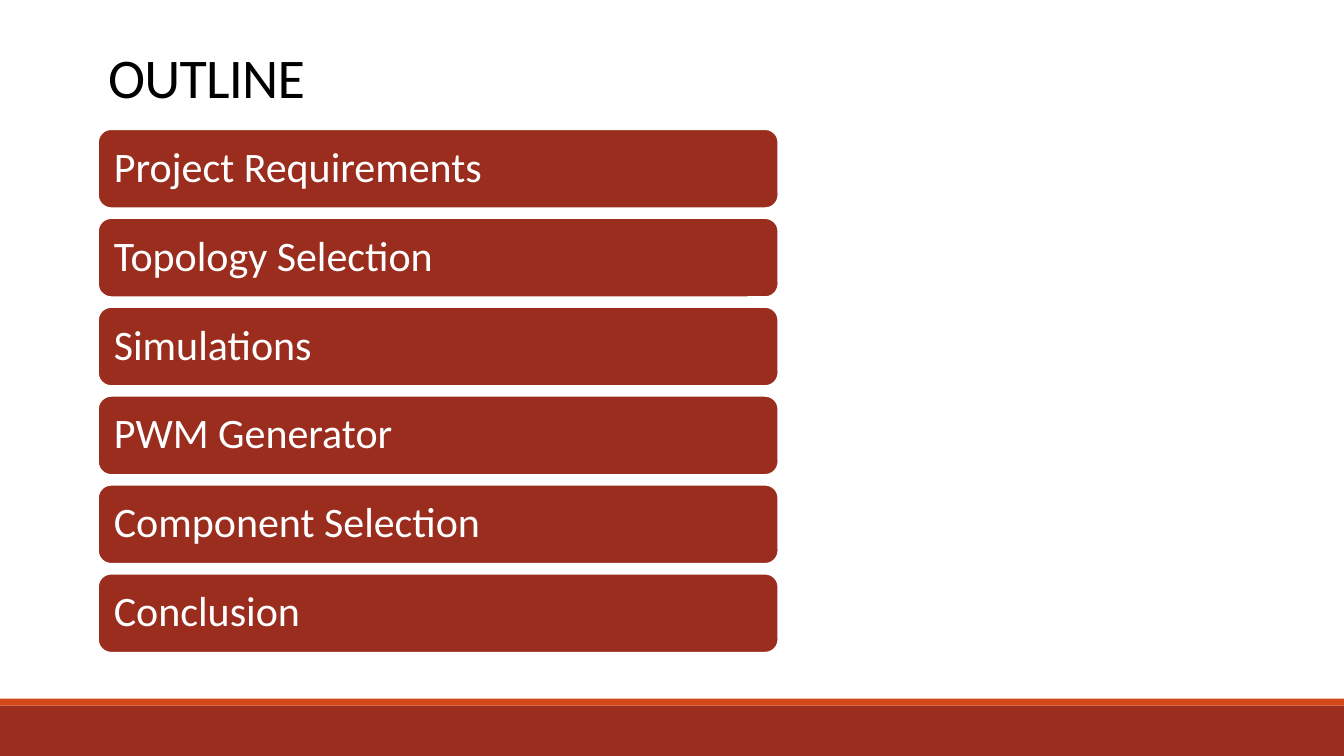
from pptx import Presentation
from pptx.dml.color import RGBColor
from pptx.enum.shapes import MSO_SHAPE
from pptx.enum.text import MSO_ANCHOR, MSO_AUTO_SIZE, PP_ALIGN
from pptx.util import Pt

RED = "9B2D1F"
ORANGE = "D34817"
WHITE = "FFFFFF"
BLACK = "000000"


def add_block(kind, left, top, width, height, fill, line=None):
    shape = slide.shapes.add_shape(kind, Pt(left), Pt(top), Pt(width), Pt(height))
    shape.shadow.inherit = False
    shape.fill.solid()
    shape.fill.fore_color.rgb = RGBColor.from_string(fill)
    if line:
        shape.line.color.rgb = RGBColor.from_string(line)
        shape.line.width = Pt(1.25)
    else:
        shape.line.fill.background()
    return shape


def write_text(shape, text, size, color, anchor, line_spacing, inset=7.2, spacing=0):
    frame = shape.text_frame
    frame.word_wrap = True
    frame.auto_size = MSO_AUTO_SIZE.NONE
    frame.vertical_anchor = anchor
    frame.margin_left = frame.margin_right = Pt(inset)
    frame.margin_top = frame.margin_bottom = Pt(min(inset, 3.6))
    paragraph = frame.paragraphs[0]
    paragraph.alignment = PP_ALIGN.LEFT
    paragraph.line_spacing = line_spacing
    run = paragraph.add_run()
    run.text = text
    run.font.name = "Calibri"
    run.font.size = Pt(size)
    run.font.color.rgb = RGBColor.from_string(color)
    if spacing:
        run.font._element.set("spc", str(int(spacing * 100)))


presentation = Presentation()
presentation.slide_width = Pt(960)
presentation.slide_height = Pt(540)
slide = presentation.slides.add_slide(presentation.slide_layouts[5])

# Footer bands
add_block(MSO_SHAPE.RECTANGLE, 0, 504, 960, 36, RED)
add_block(MSO_SHAPE.RECTANGLE, 0, 499, 960, 5, ORANGE)

# Title
title = slide.shapes.title
title.left, title.top, title.width, title.height = Pt(70), Pt(25), Pt(792), Pt(57)
write_text(title, "OUTLINE", size=40, color=BLACK, anchor=MSO_ANCHOR.BOTTOM,
           line_spacing=0.85, spacing=-0.5)

# Outline topics
topics = ["Project Requirements", "Topology Selection", "Simulations",
          "PWM Generator", "Component Selection", "Conclusion"]
for index, topic in enumerate(topics):
    bar = add_block(MSO_SHAPE.ROUNDED_RECTANGLE, 70, 92.25 + index * 63.5, 486, 56.5,
                    RED, line=WHITE)
    write_text(bar, topic, size=30, color=WHITE, anchor=MSO_ANCHOR.MIDDLE,
               line_spacing=0.9, inset=8.6)

presentation.save("out.pptx")
